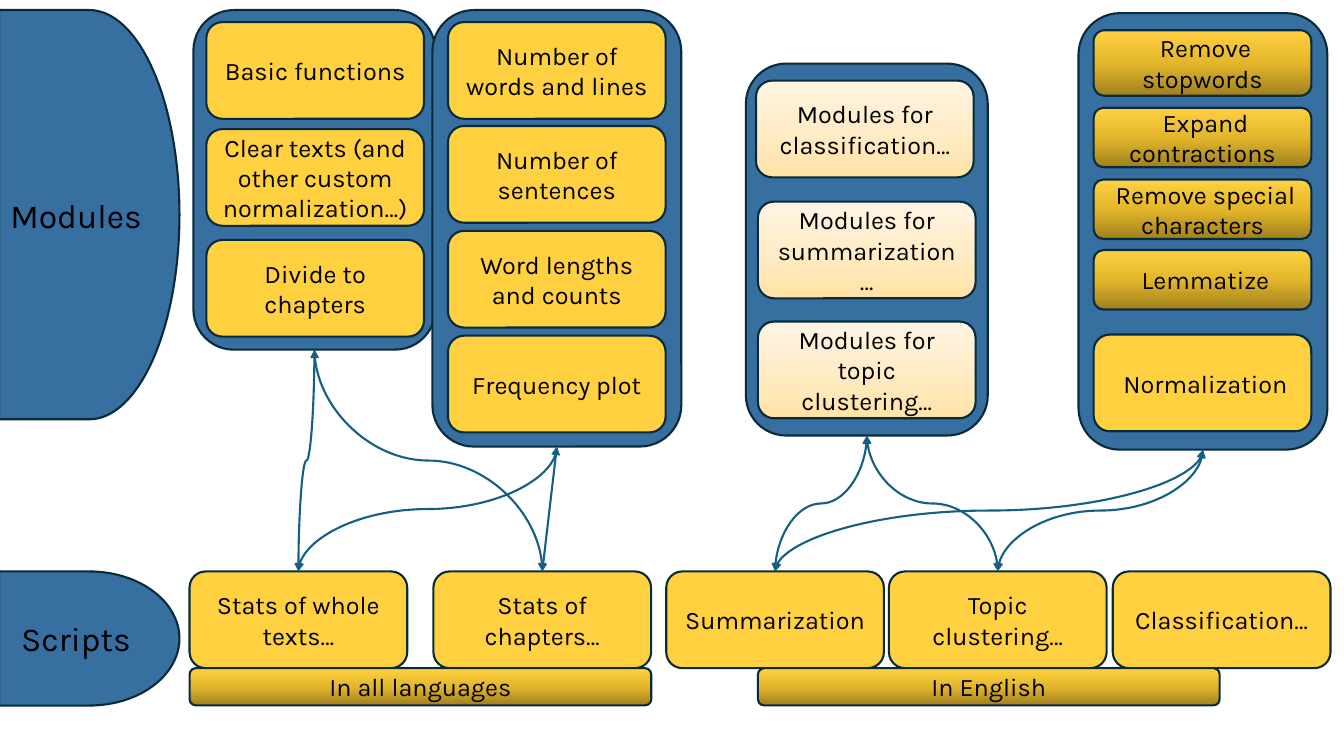
from copy import deepcopy
from dataclasses import dataclass
from typing import NamedTuple

from lxml import etree
from pptx import Presentation
from pptx.dml.color import RGBColor
from pptx.enum import shapes, text
from pptx.oxml import ns
from pptx.util import Pt

Fill = tuple[str, ...]


@dataclass(frozen=True)
class Theme:
    font: str = "Karla"
    body: float = 18
    heading: float = 24
    stroke: float = 1.5
    ink: str = "000000"
    outline: str = "092A39"
    arrow: str = "156082"
    blue: Fill = ("376FA0",)
    gold: Fill = ("FFD141",)
    bronze: Fill = ("A0801E", "E3B62B", "FFD141")
    cream: Fill = ("FFE2A5", "FFECC8", "FFF5E4")


THEME = Theme()
CARD_W, CARD_H = 155.5, 69.1
SCRIPT_TOP = 408.2
BAR_W, BAR_H = 329.8, 26.6
ROUND = shapes.MSO_SHAPE.ROUNDED_RECTANGLE
DELAY = shapes.MSO_SHAPE.FLOWCHART_DELAY
TOP_SITE, BOTTOM_SITE = 0, 2


class Box(NamedTuple):
    left: float
    top: float
    width: float
    height: float


class Card(NamedTuple):
    top: float
    label: str
    fill: Fill = THEME.gold
    height: float = CARD_H
    shift: float = 0


class Panel(NamedTuple):
    name: str
    box: Box
    card_left: float
    cards: list[Card]


class Script(NamedTuple):
    left: float
    label: str


class Link(NamedTuple):
    start: str
    end: str
    kind: shapes.MSO_CONNECTOR = shapes.MSO_CONNECTOR.CURVE


PANELS = [
    Panel("models", Box(532.8, 45.4, 172.8, 265.7), 541.4, [
        Card(57.6, "Modules for classification…", THEME.cream, shift=-1.4),
        Card(144, "Modules for summarization…", THEME.cream),
        Card(229.7, "Modules for topic clustering…", THEME.cream),
    ]),
    Panel("english", Box(770.4, 9.4, 177.8, 311.8), 781.2, [
        Card(21.6, " Remove stopwords", THEME.bronze, 46.8),
        Card(77, " Expand contractions", THEME.bronze, 42.5),
        Card(128.2, " Remove special characters", THEME.bronze, 42.5),
        Card(178.6, " Lemmatize", THEME.bronze, 42.5),
        Card(239, " Normalization"),
    ]),
    Panel("basics", Box(138.2, 7.2, 172.8, 242.6), 147.4, [
        Card(15.8, "Basic functions"),
        Card(92.2, "Clear texts (and other custom normalization…)"),
        Card(171.4, "Divide to chapters"),
    ]),
    Panel("counts", Box(308.9, 7.2, 177.8, 311.8), 320, [
        Card(15.8, "Number of words and lines"),
        Card(90, "Number of sentences"),
        Card(164.9, "Word lengths and counts"),
        Card(239.8, "Frequency plot"),
    ]),
]

WHOLE, CHAPTERS = "Stats of whole texts…", "Stats of chapters…"
SUMMARY, TOPICS = "Summarization", "Topic clustering…"
SCRIPTS = [
    Script(135.4, WHOLE),
    Script(309.6, CHAPTERS),
    Script(475.9, SUMMARY),
    Script(635, TOPICS),
    Script(794.9, "Classification…"),
]
BARS = [Script(135.4, "In all languages"), Script(541.4, "In English")]
HEADINGS = [
    (Box(-0.7, 7.2, 128.9, 292.3), "Modules"),
    (Box(-0.7, SCRIPT_TOP, 128.9, 95.8), "Scripts"),
]
LINKS = [
    Link(WHOLE, "counts"),
    Link(CHAPTERS, "counts", shapes.MSO_CONNECTOR.STRAIGHT),
    Link("basics", WHOLE),
    Link("basics", CHAPTERS),
    Link(TOPICS, "english"),
    Link(SUMMARY, "english"),
    Link(SUMMARY, "models"),
    Link(TOPICS, "models"),
]


def rgb(value: str) -> RGBColor:
    return RGBColor.from_string(value)


def paint(sp, fill: Fill) -> None:
    if len(fill) == 1:
        sp.fill.solid()
        sp.fill.fore_color.rgb = rgb(fill[0])
        return
    sp.fill.gradient()
    sp.fill.gradient_angle = 90
    first = sp._element.spPr.find(".//" + ns.qn("a:gs"))
    first.addnext(deepcopy(first))
    for i, (stop, color) in enumerate(zip(sp.fill.gradient_stops, fill)):
        stop.position = i / (len(fill) - 1)
        stop.color.rgb = rgb(color)


def add_box(s, box: Box, fill: Fill, label: str = "", preset=ROUND, size: float = THEME.body):
    sp = s.shapes.add_shape(preset, *map(Pt, box))
    sp.shadow.inherit = False
    paint(sp, fill)
    sp.line.color.rgb = rgb(THEME.outline)
    sp.line.width = Pt(THEME.stroke)
    if label:
        tf = sp.text_frame
        tf.word_wrap = True
        tf.vertical_anchor = text.MSO_ANCHOR.MIDDLE
        p = tf.paragraphs[0]
        p.alignment = text.PP_ALIGN.CENTER
        r = p.add_run()
        r.text = label
        r.font.name = THEME.font
        r.font.size = Pt(size)
        r.font.color.rgb = rgb(THEME.ink)
    return sp


def turn_upright(cxn) -> None:
    dx, dy = cxn.end_x - cxn.begin_x, cxn.end_y - cxn.begin_y
    mid_x, mid_y = cxn.begin_x + dx / 2, cxn.begin_y + dy / 2
    turn = 1 if dx * dy < 0 else -1
    half_x, half_y = turn * dy / 2, -turn * dx / 2
    cxn.begin_x, cxn.begin_y = round(mid_x - half_x), round(mid_y - half_y)
    cxn.end_x, cxn.end_y = round(mid_x + half_x), round(mid_y + half_y)
    cxn._element.spPr.xfrm.set("rot", str(turn * 90 % 360 * 60000))


def add_link(s, link: Link, nodes: dict) -> None:
    cxn = s.shapes.add_connector(link.kind, Pt(0), Pt(0), Pt(0), Pt(0))
    panel_names = {panel.name for panel in PANELS}
    for connect, name in ((cxn.begin_connect, link.start), (cxn.end_connect, link.end)):
        connect(nodes[name], BOTTOM_SITE if name in panel_names else TOP_SITE)
    if link.kind == shapes.MSO_CONNECTOR.CURVE:
        turn_upright(cxn)
    cxn.line.color.rgb = rgb(THEME.arrow)
    cxn.line.width = Pt(THEME.stroke)
    for end in ("a:headEnd", "a:tailEnd"):
        etree.SubElement(cxn.line._get_or_add_ln(), ns.qn(end), type="triangle")
    etree.SubElement(cxn._element.spPr, ns.qn("a:effectLst"))


def main() -> None:
    prs = Presentation()
    prs.slide_width, prs.slide_height = Pt(960), Pt(540)
    s = prs.slides.add_slide(prs.slide_layouts[6])
    nodes = {}
    for panel in PANELS:
        nodes[panel.name] = add_box(s, panel.box, THEME.blue)
    for panel in PANELS:
        for card in panel.cards:
            box = Box(panel.card_left + card.shift, card.top, CARD_W, card.height)
            add_box(s, box, card.fill, card.label)
    for box, label in HEADINGS:
        add_box(s, box, THEME.blue, label, DELAY, THEME.heading)
    for left, label in SCRIPTS:
        nodes[label] = add_box(s, Box(left, SCRIPT_TOP, CARD_W, CARD_H), THEME.gold, label)
    for left, label in BARS:
        add_box(s, Box(left, SCRIPT_TOP + CARD_H, BAR_W, BAR_H), THEME.bronze, label)
    for link in LINKS:
        add_link(s, link, nodes)
    prs.save("out.pptx")


if __name__ == "__main__":
    main()
